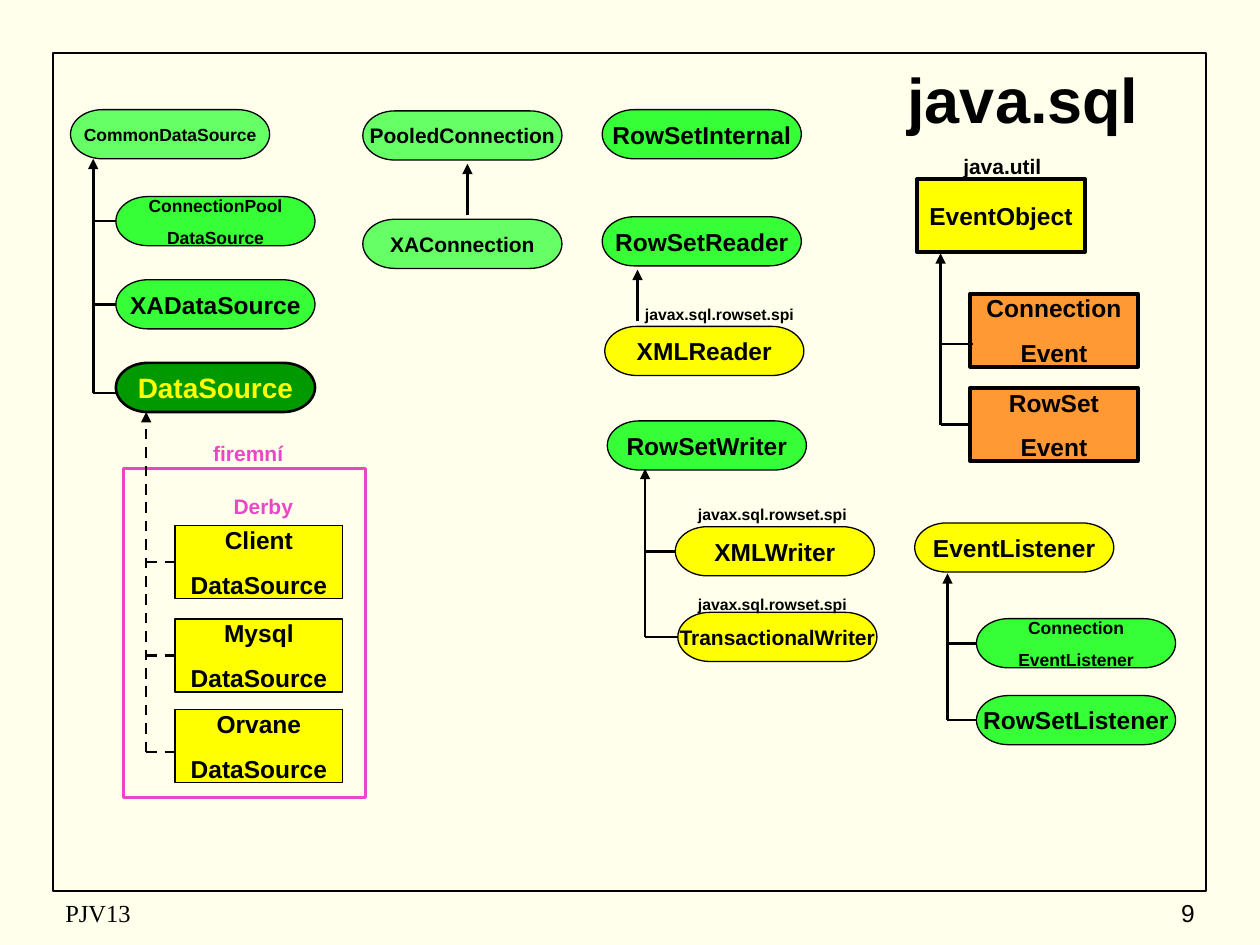
from dataclasses import dataclass

from lxml import etree
from pptx import Presentation, util as u
from pptx.dml.color import RGBColor
from pptx.enum import dml, shapes, text as t
from pptx.oxml import ns


@dataclass(frozen=True)
class Theme:
    page: str = "FFFFEB"
    ink: str = "000000"
    pink: str = "EC46C8"
    yellow: str = "FFFF00"
    orange: str = "FF9933"
    light: str = "66FF66"
    green: str = "37FF37"
    dark: str = "009900"
    font: str = "Arial"
    serif: str = "Times New Roman"
    title: int = 36
    large: int = 16
    main: int = 14
    note: int = 12
    small: int = 10
    tiny: int = 9


LOOK = Theme()
COLS, ROWS = 100, 75
SPACE = 0.278
SNAP = 0.4
CENTER, LEFT, RIGHT = t.PP_ALIGN.CENTER, t.PP_ALIGN.LEFT, t.PP_ALIGN.RIGHT
MIDDLE, TOP = t.MSO_ANCHOR.MIDDLE, t.MSO_ANCHOR.TOP


def write(frame, words, size=LOOK.main, color=LOOK.ink, font=LOOK.font,
          bold=True, align=CENTER, anchor=MIDDLE, wrap=True):
    frame.word_wrap = wrap
    frame.auto_size = t.MSO_AUTO_SIZE.NONE
    frame.vertical_anchor = anchor
    for i, line in enumerate(words.split("\n")):
        para = frame.add_paragraph() if i else frame.paragraphs[0]
        para.alignment = align
        para.space_before = u.Pt(size * 0.625 if i else 0)
        run = para.add_run()
        run.text = line
        run.font.size = u.Pt(size)
        run.font.name = font
        run.font.bold = bold
        run.font.color.rgb = RGBColor.from_string(color)


class Board:
    def __init__(self, deck, look):
        self.look = look
        self.wide, self.high = deck.slide_width, deck.slide_height
        self.slide = deck.slides.add_slide(deck.slide_layouts[5])
        back = self.slide.background.fill
        back.solid()
        back.fore_color.rgb = RGBColor.from_string(look.page)

    def across(self, cols):
        return round(self.wide * cols / COLS)

    def down(self, rows):
        return round(self.high * rows / ROWS)

    def area(self, x, y, w, h):
        return self.across(x), self.down(y), self.across(w), self.down(h)

    def title(self, words, x, y, w, h):
        head = self.slide.shapes.title
        head.left, head.top, head.width, head.height = self.area(x, y, w, h)
        write(head.text_frame, words, size=self.look.title)

    def shape(self, kind, x, y, w, h, fill=None, line=LOOK.ink, weight=1):
        item = self.slide.shapes.add_shape(kind, *self.area(x, y, w, h))
        item.shadow.inherit = False
        if fill:
            item.fill.solid()
            item.fill.fore_color.rgb = RGBColor.from_string(fill)
        else:
            item.fill.background()
        item.line.color.rgb = RGBColor.from_string(line)
        item.line.width = u.Pt(weight)
        return item

    def pill(self, words, x, y, fill, weight=0.75, **style):
        item = self.shape(shapes.MSO_SHAPE.FLOWCHART_TERMINATOR,
                          x, y, 15.8, 3.9, fill, weight=weight)
        write(item.text_frame, words, wrap=False, **style)
        return item

    def box(self, words, x, y, fill, weight):
        item = self.shape(shapes.MSO_SHAPE.RECTANGLE,
                          x, y, 13.3, 5.8, fill, weight=weight)
        write(item.text_frame, words, wrap=False)
        return item

    def frame(self, x, y, w, h, **line):
        return self.shape(shapes.MSO_SHAPE.RECTANGLE, x, y, w, h, **line)

    def label(self, words, x, y, w, h, inset=0, **style):
        item = self.slide.shapes.add_textbox(*self.area(x, y, w, h))
        item.text_frame.margin_left = u.Inches(0.1) + u.Pt(inset)
        write(item.text_frame, words, **style)

    def origin(self, words, x, y, w, h, size):
        self.label(words, x, y, w, h, inset=4 * SPACE * size,
                   size=size, align=LEFT, anchor=TOP)

    def line(self, x, y, right, low, arrow=False, dash=False):
        item = self.slide.shapes.add_connector(
            shapes.MSO_CONNECTOR.STRAIGHT, self.across(x), self.down(y),
            self.across(right), self.down(low))
        item.line.color.rgb = RGBColor.from_string(self.look.ink)
        item.line.width = u.Pt(1.5)
        if dash:
            item.line.dash_style = dml.MSO_LINE.DASH
        if arrow:
            stroke = item.line._get_or_add_ln()
            etree.SubElement(stroke, ns.qn("a:tailEnd"), type="triangle")
        etree.SubElement(item._element.spPr, ns.qn("a:effectLst"))
        return item

    def tree(self, x, top, end, links, dash=False):
        for item, row in links:
            mid = (item.top + item.height / 2) * ROWS / self.high
            near = abs(mid - row) < SNAP
            row = mid if near else row
            twig = self.line(x, row, end, row, dash=dash)
            if near:
                twig.end_connect(item, 1)
        self.line(x, row, x, top, arrow=True, dash=dash)


def main():
    deck = Presentation()
    deck.slide_width, deck.slide_height = u.Inches(10), u.Inches(7.5)
    look = LOOK
    board = Board(deck, look)
    board.frame(4.2, 4.2, 91.5, 66.5)
    board.title("java.sql", 66.8, 4.5, 28.8, 6.6)

    board.pill("CommonDataSource", 5.6, 8.7, look.light, size=look.small)
    pool = board.pill("ConnectionPool\nDataSource", 9.2, 15.6, look.green,
                      size=look.small)
    xa = board.pill("XADataSource", 9.2, 22.2, look.green)
    data = board.pill("DataSource", 9.2, 28.8, look.dark, weight=1.5,
                      size=look.large, color=look.yellow)
    board.tree(7.4, 12.6, 9.2, [(pool, 17.4), (xa, 24), (data, 31.2)])

    board.frame(9.8, 37.2, 19.2, 26.1, line=look.pink, weight=1.5)
    for words, x, y in [("firemní", 14, 34.5), ("Derby", 15.2, 38.7)]:
        board.label(words, x, y, 11.4, 3, size=look.note, color=look.pink,
                    anchor=TOP)
    firms = [("Client", 41.7, 44.7), ("Mysql", 49.1, 52.1),
             ("Orvane", 56.3, 59.7)]
    board.tree(11.6, 32.7, 14, [
        (board.box(f"{name}\nDataSource", 13.9, y, look.yellow, 1), row)
        for name, y, row in firms], dash=True)

    for words, y in [("PooledConnection", 8.8), ("XAConnection", 17.4)]:
        board.pill(words, 28.8, y, look.light, size=look.note)
    board.line(37.1, 17.1, 37.1, 13, arrow=True)

    for words, x, y in [("RowSetInternal", 47.8, 8.7),
                        ("RowSetReader", 47.8, 17.2),
                        ("RowSetWriter", 48.2, 33.4)]:
        board.pill(words, x, y, look.green)
    board.pill("XMLReader", 48, 25.9, look.yellow)
    board.line(50.6, 25.5, 50.6, 21.4, arrow=True)
    writer = board.pill("XMLWriter", 53.6, 41.8, look.yellow)
    trans = board.pill("TransactionalWriter", 53.8, 48.6, look.yellow,
                       size=look.note)
    board.tree(51.2, 37.2, 53.7, [(writer, 43.6), (trans, 50.4)])
    for x, y in [(48.8, 23.7), (53, 39.6), (53, 46.7)]:
        board.origin("javax.sql.rowset.spi", x, y, 16.8, 2.5, look.tiny)

    board.origin("java.util", 73.6, 11.7, 11.7, 3, look.note)
    board.box("EventObject", 72.8, 14.2, look.yellow, 2.25)
    board.tree(74.65, 20.1, 77.2, [
        (board.box(f"{name}\nEvent", 77, y, look.orange, 2.25), row)
        for name, y, row in [("Connection", 23.3, 27.3),
                             ("RowSet", 30.8, 34)]])

    board.pill("EventListener", 72.6, 41.5, look.yellow)
    link = board.pill("Connection\nEventListener", 77.5, 49.1, look.green,
                      size=look.small)
    rows = board.pill("RowSetListener", 77.5, 55.2, look.green)
    board.tree(75.2, 45.5, 77.7, [(link, 51.4), (rows, 57.5)])

    board.label("PJV13", 4.2, 70.8, 31.7, 3.3, font=look.serif, bold=False,
                align=LEFT)
    board.label("9", 75, 70.8, 20.8, 3.3, bold=False, align=RIGHT)
    deck.save("out.pptx")


if __name__ == "__main__":
    main()
